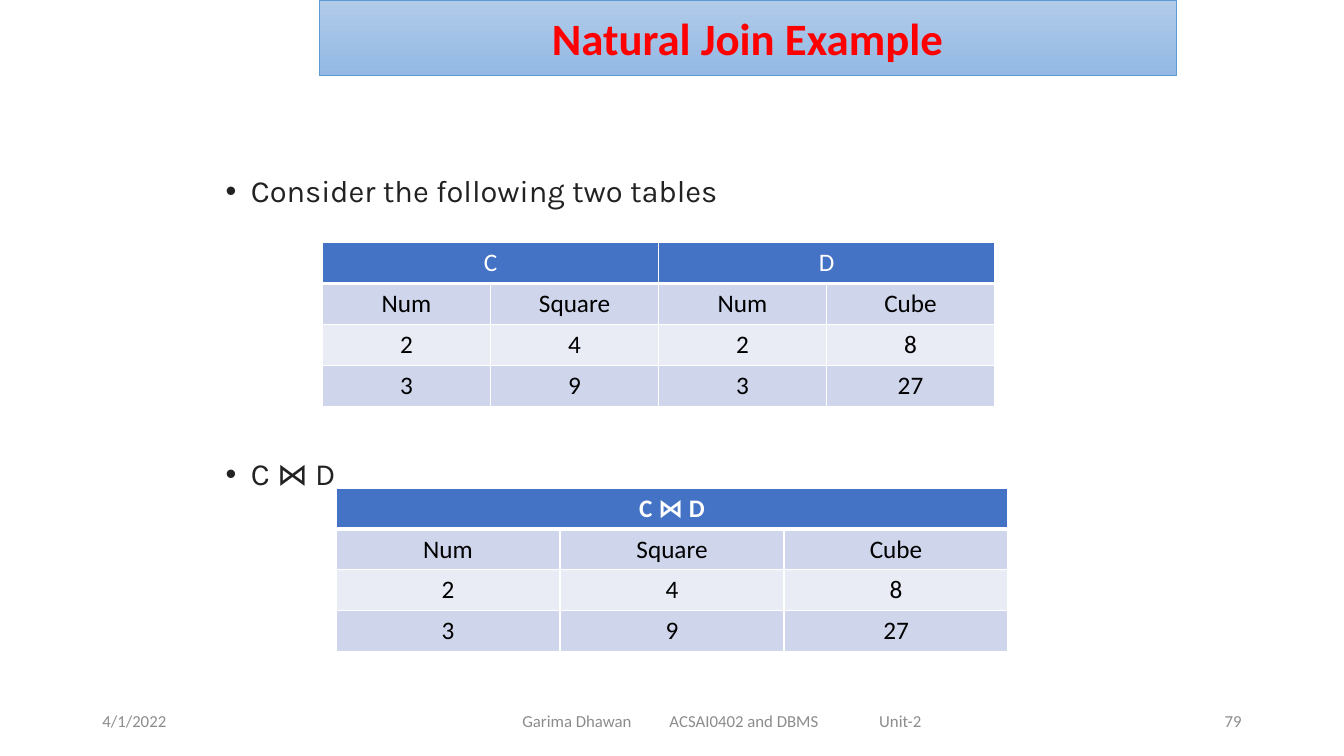
from lxml import etree
from pptx import Presentation
from pptx.dml.color import RGBColor
from pptx.enum.text import MSO_ANCHOR, MSO_AUTO_SIZE, PP_ALIGN
from pptx.oxml.ns import qn
from pptx.util import Inches, Pt

LEFT, CENTER, RIGHT = PP_ALIGN.LEFT, PP_ALIGN.CENTER, PP_ALIGN.RIGHT
JUSTIFY = PP_ALIGN.JUSTIFY
TOP, MIDDLE = MSO_ANCHOR.TOP, MSO_ANCHOR.MIDDLE
NO_AUTOFIT = MSO_AUTO_SIZE.NONE
TITLE_ONLY = 5
COLUMNS, ROWS = 160, 90

FORMATS = {
    "title": {"name": "Calibri", "size": Pt(32), "bold": True, "color": "FF0000"},
    "bullet": {"name": "Karla", "size": Pt(22), "color": "222222"},
    "footer": {"name": "Calibri", "size": Pt(12), "color": "8C8C8C"},
    "header": {"name": "Calibri", "size": Pt(18), "bold": False, "color": "FFFFFF"},
    "bold_header": {"name": "Calibri", "size": Pt(18), "bold": True, "color": "FFFFFF"},
    "cell": {"name": "Calibri", "size": Pt(18), "bold": False, "color": "000000"},
}


def rgb(value):
    return RGBColor.from_string(value)


class SlideBuilder:
    header_fill = "4472C4"
    band_fills = ("E9EBF5", "CFD5EA")
    border_color = "FFFFFF"
    table_columns = 80
    table_row = 4.86

    def __init__(self):
        self.presentation = Presentation()
        self.presentation.slide_width = Inches(13.33)
        self.presentation.slide_height = Inches(7.5)
        layout = self.presentation.slide_layouts[TITLE_ONLY]
        self.slide = self.presentation.slides.add_slide(layout)

    def across(self, columns):
        return round(self.presentation.slide_width * columns / COLUMNS)

    def down(self, rows):
        return round(self.presentation.slide_height * rows / ROWS)

    def box(self, left, top, width, height):
        return self.across(left), self.down(top), self.across(width), self.down(height)

    def set_text(self, paragraph, text, style, alignment):
        paragraph.text = text
        paragraph.alignment = alignment
        for attribute, value in FORMATS[style].items():
            if attribute == "color":
                paragraph.font.color.rgb = rgb(value)
            else:
                setattr(paragraph.font, attribute, value)

    def frame(self, shape, anchor):
        text_frame = shape.text_frame
        text_frame.word_wrap = True
        text_frame.auto_size = NO_AUTOFIT
        text_frame.vertical_anchor = anchor
        return text_frame

    def title(self, text, *place):
        shape = self.slide.shapes.title
        shape.left, shape.top, shape.width, shape.height = self.box(*place)
        shape.fill.gradient()
        shape.fill.gradient_angle = 270
        for stop, color in zip(shape.fill.gradient_stops, ("B1CBE9", "93B9E4")):
            stop.color.rgb = rgb(color)
        shape.line.color.rgb = rgb("5B9BD5")
        shape.line.width = Pt(0.5)
        self.set_text(self.frame(shape, MIDDLE).paragraphs[0], text, "title", CENTER)

    def footer(self, text, alignment, *place, tabs=()):
        shape = self.slide.shapes.add_textbox(*self.box(*place))
        paragraph = self.frame(shape, MIDDLE).paragraphs[0]
        if tabs:
            properties = paragraph._p.get_or_add_pPr()
            tab_list = etree.SubElement(properties, qn("a:tabLst"))
            for position in tabs:
                etree.SubElement(tab_list, qn("a:tab"), pos=str(Inches(position)), algn="l")
        self.set_text(paragraph, text, "footer", alignment)

    def bullets(self, texts, gap, *place):
        shape = self.slide.shapes.add_textbox(*self.box(*place))
        text_frame = self.frame(shape, TOP)
        for index, text in enumerate(texts):
            paragraph = text_frame.add_paragraph() if index else text_frame.paragraphs[0]
            properties = paragraph._p.get_or_add_pPr()
            properties.set("marL", str(Inches(0.25)))
            properties.set("indent", str(-Inches(0.25)))
            etree.SubElement(properties, qn("a:buFont"), typeface="Arial")
            etree.SubElement(properties, qn("a:buChar"), char="•")
            self.set_text(paragraph, text, "bullet", JUSTIFY)
            paragraph.line_spacing = 0.9
            if index:
                paragraph.space_before = Pt(gap)

    def border(self, cell, is_header, below_header):
        widths = {"L": 1, "R": 1, "T": 3 if below_header else 1, "B": 3 if is_header else 1}
        properties = cell._tc.get_or_add_tcPr()
        for side, width in widths.items():
            line = etree.SubElement(properties, qn(f"a:ln{side}"), w=str(Pt(width)))
            fill = etree.SubElement(line, qn("a:solidFill"))
            etree.SubElement(fill, qn("a:srgbClr"), val=self.border_color)

    def table(self, headers, records, header_style, left, top):
        count = len(records[0])
        span = count // len(headers)
        height = self.table_row * (len(records) + 1)
        place = self.box(left, top, self.table_columns, height)
        table = self.slide.shapes.add_table(len(records) + 1, count, *place).table
        for column in table.columns:
            column.width = self.across(self.table_columns / count)
        for index, row in enumerate(table.rows):
            row.height = self.down(self.table_row)
            for cell in row.cells:
                self.border(cell, index == 0, index == 1)
                cell.fill.solid()
                color = self.band_fills[index % 2] if index else self.header_fill
                cell.fill.fore_color.rgb = rgb(color)
        for index, text in enumerate(headers):
            cell = table.cell(0, index * span)
            cell.merge(table.cell(0, (index + 1) * span - 1))
            self.set_text(cell.text_frame.paragraphs[0], text, header_style, CENTER)
        for row_index, record in enumerate(records, 1):
            for column_index, text in enumerate(record):
                cell = table.cell(row_index, column_index)
                cell.vertical_anchor = MIDDLE
                self.set_text(cell.text_frame.paragraphs[0], text, "cell", CENTER)


def main():
    builder = SlideBuilder()
    builder.title("Natural Join Example", 38, 0, 102, 9)
    builder.bullets(["Consider the following two tables", "C ⋈ D"], 178, 25.7, 20.4, 108, 59.4)
    operands = [("Num", "Square", "Num", "Cube"), ("2", "4", "2", "8"), ("3", "9", "3", "27")]
    builder.table(["C", "D"], operands, "header", 38.4, 28.9)
    joined = [(number, square, cube) for number, square, _, cube in operands]
    builder.table(["C ⋈ D"], joined, "bold_header", 40, 58.1)
    builder.footer("4/1/2022", LEFT, 11, 83.4, 36, 4.8)
    builder.footer("Garima Dhawan\tACSAI0402 and DBMS\tUnit-2", LEFT,
                   61, 83.4, 50, 4.8, tabs=(1.46, 3.54))
    builder.footer("79", RIGHT, 113, 83.4, 36, 4.8)
    builder.presentation.save("out.pptx")


if __name__ == "__main__":
    main()
